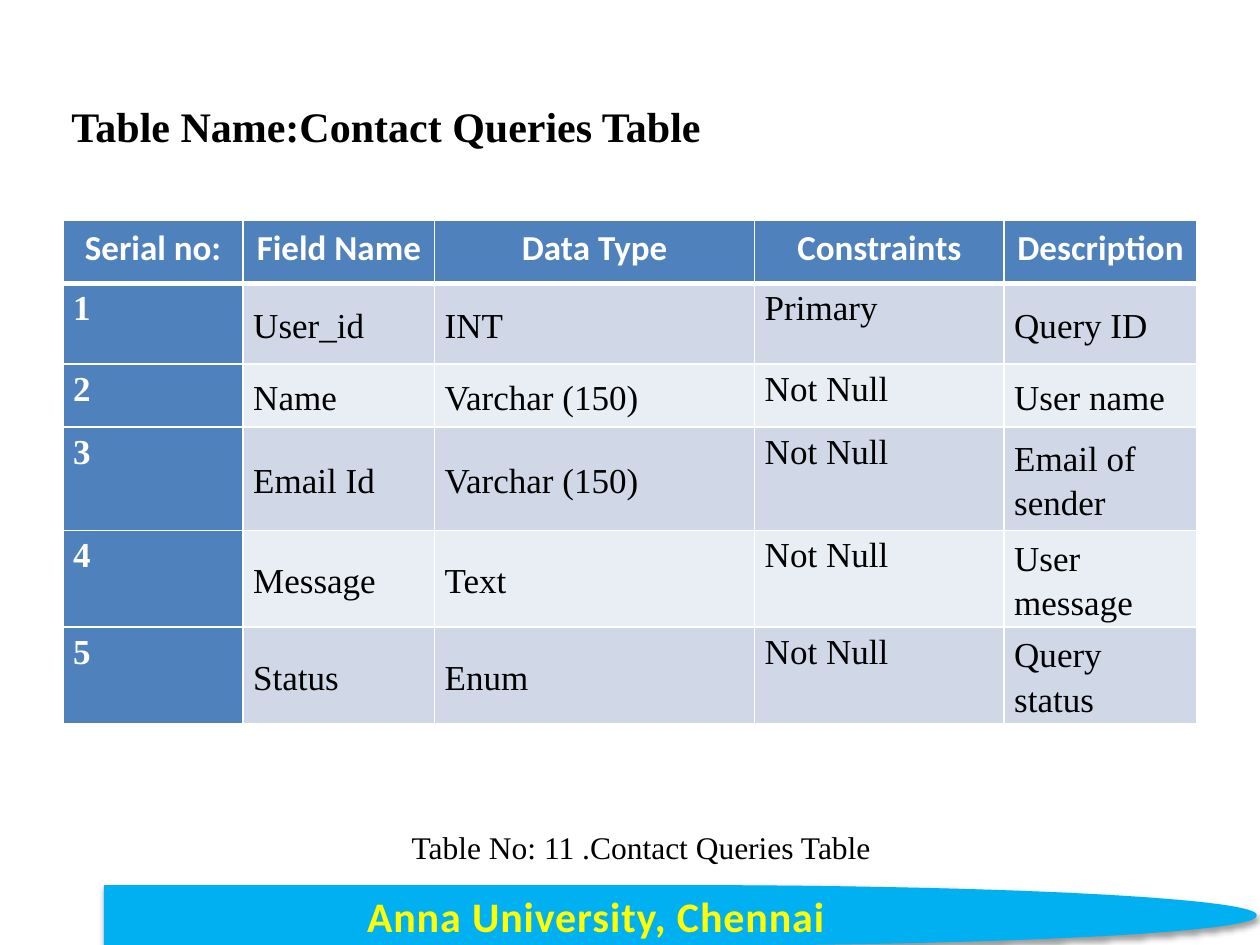
from lxml.etree import SubElement
from pptx import Presentation
from pptx.dml.color import RGBColor
from pptx.enum.shapes import MSO_SHAPE
from pptx.enum.text import MSO_ANCHOR, MSO_AUTO_SIZE, PP_ALIGN
from pptx.oxml.ns import qn
from pptx.util import Inches, Pt

COLORS = {
    "header": "4F81BD", "odd": "D0D8E8", "even": "E9EDF4",
    "white": "FFFFFF", "black": "000000",
    "banner": "00B0F0", "yellow": "FFFF00", "outline": "E78738",
}
SERIF, SANS = "Times New Roman", "Calibri"

presentation = Presentation()
presentation.slide_width, presentation.slide_height = Inches(10), Inches(7.5)
slide = presentation.slides.add_slide(presentation.slide_layouts[6])

# Grid: 100 columns by 75 rows
COLUMN = presentation.slide_width / 100
ROW = presentation.slide_height / 75


def grid(left, top, width, height):
    return [int(left * COLUMN), int(top * ROW), int(width * COLUMN), int(height * ROW)]


def write(text_frame, text, color, alignment=PP_ALIGN.CENTER, **formats):
    paragraph = text_frame.paragraphs[0]
    paragraph.alignment = alignment
    run = paragraph.add_run()
    run.text = text
    for name, value in formats.items():
        setattr(run.font, name, value)
    run.font.color.rgb = RGBColor.from_string(COLORS[color])
    return run


# Footer banner with its soft shadow
banner = slide.shapes.add_shape(MSO_SHAPE.FLOWCHART_DELAY, *grid(8.3, 70.3, 91.4, 4.7))
banner.fill.solid()
banner.fill.fore_color.rgb = RGBColor.from_string(COLORS["banner"])
banner.line.color.rgb = RGBColor.from_string(COLORS["banner"])
banner.line.width = Pt(0.75)
banner.shadow.inherit = False
effects = banner.element.spPr.find(qn("a:effectLst"))
shadow = SubElement(effects, qn("a:outerShdw"), blurRad=str(Pt(3.1)), dist=str(Pt(1.6)),
                    dir="5400000", rotWithShape="0")
shadow_color = SubElement(shadow, qn("a:srgbClr"), val=COLORS["black"])
SubElement(shadow_color, qn("a:alpha"), val="38000")

# Banner lettering: spaced and outlined
banner.text_frame.vertical_anchor = MSO_ANCHOR.MIDDLE
lettering = write(banner.text_frame, "Anna University, Chennai", "yellow",
                  name=SANS, size=Pt(24), bold=True)
lettering.font._rPr.set("spc", "50")
outline = SubElement(lettering.font._rPr, qn("a:ln"), w=str(Pt(1)))
SubElement(SubElement(outline, qn("a:solidFill")), qn("a:srgbClr"), val=COLORS["outline"])
lettering.font._rPr.insert(0, outline)

# Caption and title
for text, place, size, bold in (
    ("Table No: 11 .Contact Queries Table", (25.8, 65.2, 50.2, 4), 18, False),
    ("Table Name:Contact Queries Table", (2.5, 7.5, 56.3, 5), 24, True),
):
    text_box = slide.shapes.add_textbox(*grid(*place))
    text_box.text_frame.word_wrap = True
    text_box.text_frame.auto_size = MSO_AUTO_SIZE.SHAPE_TO_FIT_TEXT
    write(text_box.text_frame, text, "black", name=SERIF, size=Pt(size), bold=bold)

# Table of fields
records = [
    ("Serial no:", "Field Name", "Data Type", "Constraints", "Description"),
    ("1", "User_id", "INT", "Primary", "Query ID"),
    ("2", "Name", "Varchar (150)", "Not Null", "User name"),
    ("3", "Email Id", "Varchar (150)", "Not Null", "Email of sender"),
    ("4", "Message", "Text", "Not Null", "User message"),
    ("5", "Status", "Enum", "Not Null", "Query status"),
]
column_widths = [14.3, 15.2, 25.4, 19.8, 15.3]
row_heights = [5, 6.4, 5, 8.2, 7.6, 7.6]
table = slide.shapes.add_table(len(records), len(column_widths),
                               *grid(5, 17.5, sum(column_widths), sum(row_heights))).table
for column, width in zip(table.columns, column_widths):
    column.width = int(width * COLUMN)
for row, height in zip(table.rows, row_heights):
    row.height = int(height * ROW)

for row_index, record in enumerate(records):
    for column_index, text in enumerate(record):
        cell = table.cell(row_index, column_index)
        is_header = row_index == 0
        is_accent = is_header or column_index == 0
        is_top = is_accent or column_index == 3
        side_margin = Inches(0.09 if is_header else 0.08)
        cell_formats = {
            "margin_left": side_margin, "margin_right": side_margin,
            "margin_top": 0, "margin_bottom": 0,
            "vertical_anchor": MSO_ANCHOR.TOP if is_top else MSO_ANCHOR.MIDDLE,
        }
        for name, value in cell_formats.items():
            setattr(cell, name, value)

        # White borders, heavier under the header
        cell_properties = cell._tc.get_or_add_tcPr()
        for side in ("lnL", "lnR", "lnT", "lnB"):
            heavy = (row_index, side) in ((0, "lnB"), (1, "lnT"))
            border = SubElement(cell_properties, qn(f"a:{side}"), w=str(Pt(3 if heavy else 1)))
            SubElement(SubElement(border, qn("a:solidFill")), qn("a:srgbClr"), val=COLORS["white"])

        # Fill and text
        band = "odd" if row_index % 2 else "even"
        cell.fill.solid()
        cell.fill.fore_color.rgb = RGBColor.from_string(COLORS["header" if is_accent else band])
        write(cell.text_frame, text, "white" if is_accent else "black",
              PP_ALIGN.CENTER if is_header else PP_ALIGN.LEFT,
              name=SANS if is_header else SERIF, size=Pt(20), bold=is_accent)
        cell.text_frame.paragraphs[0].line_spacing = 1.15

presentation.save("out.pptx")
